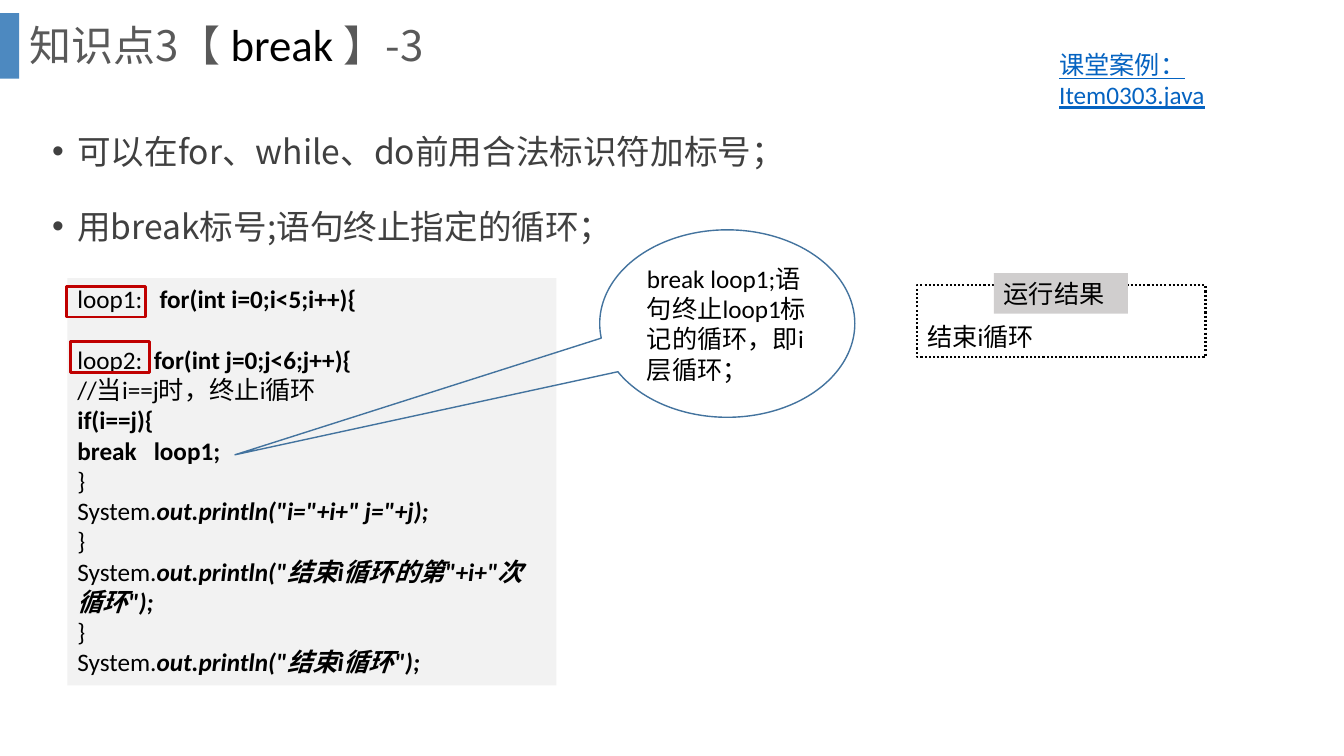
import pptx
import pptx.util
import pptx.dml.color
import pptx.enum.dml
import pptx.enum.shapes
import pptx.enum.text
import pptx.oxml
import pptx.oxml.ns

Pt = pptx.util.Pt
RGBColor = pptx.dml.color.RGBColor
Shape = pptx.enum.shapes.MSO_SHAPE
Anchor = pptx.enum.text.MSO_ANCHOR
Align = pptx.enum.text.PP_ALIGN

BAR_BLUE = RGBColor(0x2E, 0x75, 0xB6)
TITLE_GREY = RGBColor(0x59, 0x59, 0x59)
BODY_GREY = RGBColor(0x40, 0x40, 0x40)
CODE_GREY = RGBColor(0xF2, 0xF2, 0xF2)
LABEL_GREY = RGBColor(0xD0, 0xCE, 0xCE)
CALLOUT_BLUE = RGBColor(0x43, 0x73, 0x9E)
MARK_RED = RGBColor(0xC0, 0x00, 0x00)
LINK_BLUE = RGBColor(0x05, 0x63, 0xC1)
BLACK = RGBColor(0, 0, 0)

LATIN = "Calibri"
CJK = "Noto Sans CJK SC"
CODE_LINE = 22

CODE = [
    [("loop1:   ", ""), ("for(int i=0;i<5;i++){", "b")],
    [("loop2:  ", ""), ("for(int j=0;j<6;j++){", "b")],
    [("//当i==j时，终止i循环", "")],
    [("if(i==j){", "b")],
    [("break   loop1;", "b")],
    [("}", "")],
    [("System.", ""), ('out.println("i="+i+" j="+j);', "bi")],
    [("}", "")],
    [("System.", ""), ('out.println("结束i循环的第"+i+"次循环");', "bi")],
    [("}", "")],
    [("System.", ""), ('out.println("结束i循环");', "bi")],
]


def add_xml(parent, tag, **attributes):
    child = parent.makeelement(pptx.oxml.ns.qn(tag), attributes)
    parent.append(child)
    return child


def add_run(paragraph, text, size=18, font=LATIN, color=BLACK, style=""):
    """Add one run; style holds any of the letters b, i and u."""
    run = paragraph.add_run()
    run.text = text
    run.font.size = Pt(size)
    run.font.color.rgb = color
    run.font.bold = "b" in style
    run.font.italic = "i" in style
    run.font.underline = "u" in style
    run.font.name = font
    add_xml(run.font._element, "a:ea", typeface=CJK)


def add_box(slide, box, kind=Shape.RECTANGLE, fill=None, line=None, width=1):
    shape = slide.shapes.add_shape(kind, *map(Pt, box))
    shape.shadow.inherit = False
    if fill is None:
        shape.fill.background()
    else:
        shape.fill.solid()
        shape.fill.fore_color.rgb = fill
    if line is None:
        shape.line.fill.background()
    else:
        shape.line.color.rgb = line
        shape.line.width = Pt(width)
    return shape


def start_text(shape, anchor=Anchor.TOP):
    """Set up wrapped, left-aligned text and return its first paragraph."""
    frame = shape.text_frame
    frame.word_wrap = True
    frame.vertical_anchor = anchor
    paragraph = frame.paragraphs[0]
    paragraph.alignment = Align.LEFT
    return paragraph


def add_title(slide, box):
    left, top, width, height = box
    bar = add_box(slide, (0, top + 9.4, left, 46.8), fill=BAR_BLUE)
    bar_color = bar.fill._xPr.find(".//" + pptx.oxml.ns.qn("a:srgbClr"))
    add_xml(bar_color, "a:alpha", val="85000")
    title = slide.shapes.title
    title.left, title.top, title.width, title.height = map(Pt, box)
    heading = start_text(title, Anchor.MIDDLE)
    heading.line_spacing = 0.9
    add_run(heading, "知识点3【", 30, CJK, TITLE_GREY)
    add_run(heading, " break ", 32)
    add_run(heading, "】-3", 30, CJK, TITLE_GREY)


def add_points(slide, box):
    points = slide.shapes.add_textbox(*map(Pt, box))
    paragraph = start_text(points)
    for index, text in enumerate(["可以在for、while、do前用合法标识符加标号；",
                                  "用break标号;语句终止指定的循环；"]):
        if index:
            paragraph = points.text_frame.add_paragraph()
            paragraph.space_before = Pt(10)
        paragraph.line_spacing = 1.5
        properties = paragraph._p.get_or_add_pPr()
        properties.set("marL", str(Pt(18)))
        properties.set("indent", str(-Pt(18)))
        add_xml(properties, "a:buFont", typeface="Arial")
        add_xml(properties, "a:buChar", char="•")
        add_run(paragraph, text, 24, CJK, BODY_GREY)


def add_code(slide, box):
    left, top, width, height = box
    listing = add_box(slide, box, fill=CODE_GREY)
    paragraph = start_text(listing)
    for index, runs in enumerate(CODE):
        if index:
            paragraph = listing.text_frame.add_paragraph()
            paragraph.alignment = Align.LEFT
        if index == 1:
            paragraph.space_before = Pt(CODE_LINE)
        for text, style in runs:
            add_run(paragraph, text, style=style)
    for dx, dy in ((-0.7, 5.8), (2.2, 45.4)):
        add_box(slide, (left + dx, top + dy, 56.5, 22), line=MARK_RED, width=2)


def add_result(slide, box):
    left, top, width, height = box
    output = add_box(slide, box, line=BLACK, width=1.5)
    output.line.dash_style = pptx.enum.dml.MSO_LINE.ROUND_DOT
    add_run(start_text(output), "结束i循环")
    output.text_frame.margin_top = Pt(3.6 + CODE_LINE)
    label = add_box(slide, (left + 54.7, top - 8.6, 95.8, 28.8), fill=LABEL_GREY)
    add_run(start_text(label), "运行结果")


def add_callout(slide, box):
    callout = add_box(slide, box, Shape.OVAL_CALLOUT, line=CALLOUT_BLUE)
    callout.adjustments[0] = -1.93
    callout.adjustments[1] = 0.7
    add_run(start_text(callout, Anchor.MIDDLE),
            "break loop1;语句终止loop1标记的循环，即i层循环；")


def add_case_reference(slide, box):
    reference = slide.shapes.add_textbox(*map(Pt, box))
    add_run(start_text(reference), "课堂案例：Item0303.java",
            color=LINK_BLUE, style="u")


def main():
    deck = pptx.Presentation()
    deck.slide_width, deck.slide_height = Pt(960), Pt(540)
    slide = deck.slides.add_slide(deck.slide_layouts[5])
    add_title(slide, (13.7, 0, 911.5, 67))
    add_points(slide, (30.2, 75.6, 867.6, 139.7))
    add_code(slide, (48.2, 198.7, 349.2, 290.9))
    add_result(slide, (655.2, 203.8, 205.9, 51.1))
    add_callout(slide, (428.4, 164.2, 182.2, 133.9))
    add_case_reference(slide, (749.5, 31.7, 164.2, 51.1))
    deck.save("out.pptx")


if __name__ == "__main__":
    main()
